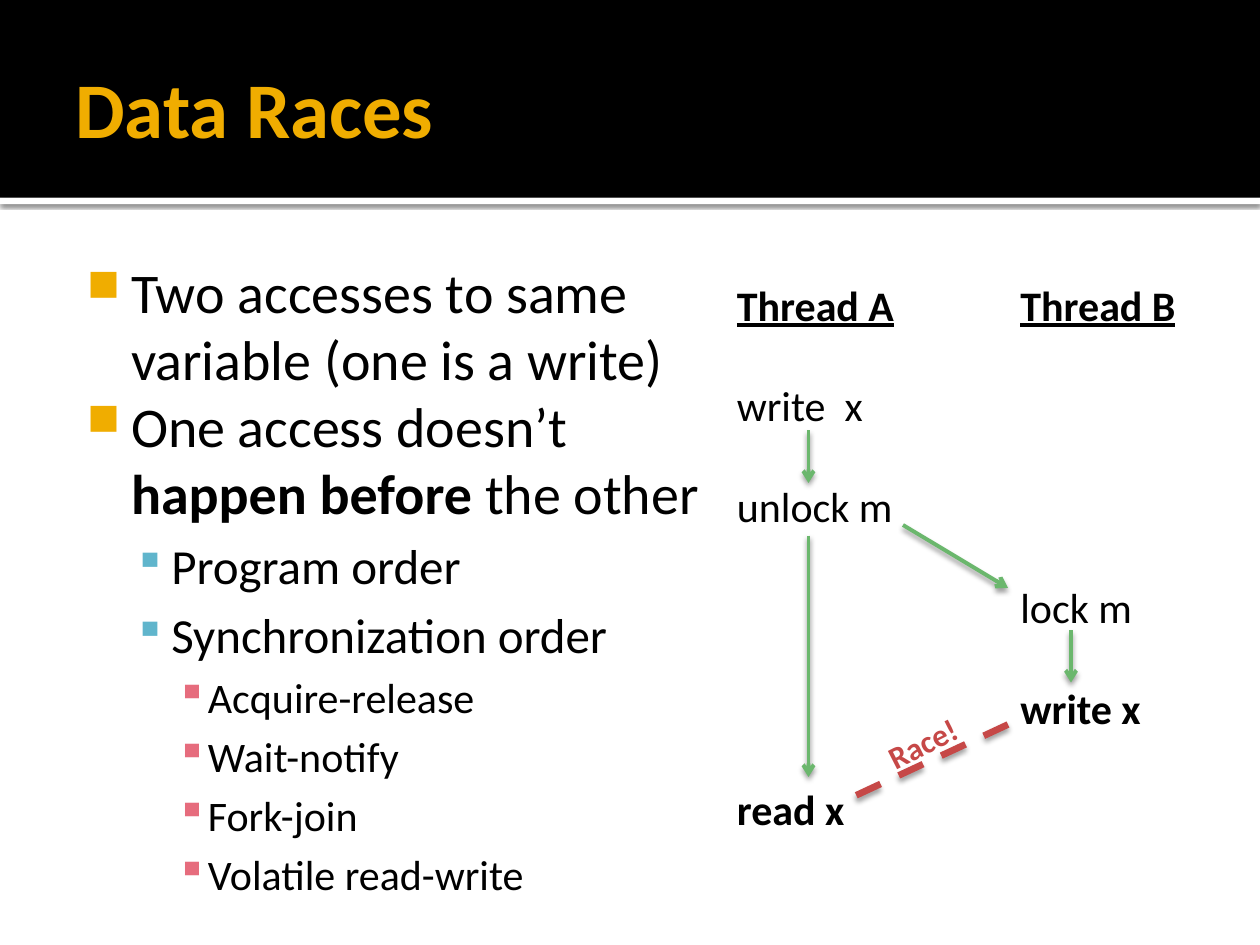
from dataclasses import dataclass
from pptx import Presentation
from pptx.dml.color import RGBColor as Rgb
from pptx.enum.dml import MSO_LINE_DASH_STYLE as Dash
from pptx.enum.shapes import MSO_CONNECTOR as Conn, MSO_SHAPE as Kind
from pptx.enum.text import MSO_ANCHOR as Anchor, MSO_AUTO_SIZE as Fit
from pptx.oxml import parse_xml
from pptx.oxml.ns import nsdecls
from pptx.util import Inches, Pt


@dataclass(frozen=True)
class Theme:
    """Colours, type sizes and the grid cell in inches."""
    font: str = "Calibri"
    ink: str = "000000"
    paper: str = "FFFFFF"
    gold: str = "F0AD00"
    blue: str = "60B5CC"
    pink: str = "E66C7D"
    green: str = "6BB76D"
    red: str = "C64847"
    title: int = 45
    body: tuple = (32, 28, 24)
    code: int = 24
    note: int = 18
    row: float = 28.8
    cell: float = 1 / 12


@dataclass(frozen=True)
class Box:
    """A place on the grid, in columns and rows."""
    x: float
    y: float
    w: float
    h: float


@dataclass(frozen=True)
class Level:
    """The bullet and indent of an outline level."""
    mark: str
    hue: str
    pct: int
    left: float
    hang: float
    gap: float


@dataclass(frozen=True)
class Item:
    """An outline line whose odd words are bold."""
    depth: int
    words: tuple


@dataclass(frozen=True)
class Step:
    """A thread action on a given text row."""
    row: int
    text: str
    bold: bool = False
    line: bool = False


@dataclass(frozen=True)
class Link:
    """A line between two grid points."""
    start: tuple
    end: tuple
    hue: str
    width: float
    race: bool = False


T = Theme()
LEVELS = (
    Level("■", T.gold, 80, 0.48, 0.35, 0),
    Level("▪", T.blue, 90, 0.8, 0.3, 0.2),
    Level("▪", T.pink, 100, 1.09, 0.25, 0.2),
)
ITEMS = (
    Item(0, ("Two accesses to same variable (one is a write)",)),
    Item(0, ("One access doesn’t ", "happen before ", "the other")),
    Item(1, ("Program order",)),
    Item(1, ("Synchronization order",)),
    Item(2, ("Acquire-release",)),
    Item(2, ("Wait-notify",)),
    Item(2, ("Fork-join",)),
    Item(2, ("Volatile read-write",)),
)
THREADS = (
    (Box(69, 26, 19, 54.5), (
        Step(0, "Thread A", True, True), Step(2, "write  x"),
        Step(4, "unlock m"), Step(10, "read x", True))),
    (Box(96, 26, 19, 44.9), (
        Step(0, "Thread B", True, True), Step(6, "lock m"),
        Step(8, "write x", True))),
)
LINKS = (
    Link((77, 41), (77, 46), T.green, 2.25),
    Link((77, 51), (77, 74), T.green, 2.25),
    Link((86, 50), (96, 56), T.green, 2.25),
    Link((102, 60), (102, 65), T.green, 2.25),
    Link((96, 69), (81, 76), T.red, 3.82, True),
)


def span(*cells: float) -> list:
    """Turn grid cells into lengths."""
    return [Inches(n * T.cell) for n in cells]


def apply(obj, form: dict) -> None:
    """Set each named value on an object."""
    for key, val in form.items():
        setattr(obj, key, val)


def shade(shape, alpha: int, blur: float, dist: float) -> None:
    """Cast a soft shadow straight down."""
    shape._element.spPr.append(parse_xml(
        f'<a:effectLst {nsdecls("a")}><a:outerShdw blurRad="{Pt(blur)}" '
        f'dist="{Pt(dist)}" dir="5400000" rotWithShape="0">'
        f'<a:srgbClr val="{T.ink}"><a:alpha val="{alpha * 1000}"/>'
        '</a:srgbClr></a:outerShdw></a:effectLst>'))


def band(slide, box: Box, hue: str):
    """Draw a plain filled bar."""
    bar = slide.shapes.add_shape(
        Kind.RECTANGLE, *span(box.x, box.y, box.w, box.h))
    bar.fill.solid()
    bar.fill.fore_color.rgb = Rgb.from_string(hue)
    bar.line.fill.background()
    return bar


def frame(slide, box: Box, **form):
    """Add a text box with the given frame values."""
    shape = slide.shapes.add_textbox(*span(box.x, box.y, box.w, box.h))
    apply(shape.text_frame, {"word_wrap": True, **form})
    return shape


def write(para, text: str, size: float, hue: str = T.ink, **form) -> None:
    """Add a styled run to a paragraph."""
    run = para.add_run()
    run.text = text
    apply(run.font, {"name": T.font, "size": Pt(size), **form})
    run.font.color.rgb = Rgb.from_string(hue)


def lines(text, items: tuple):
    """Pair each item with its own paragraph."""
    for n, item in enumerate(items):
        yield item, text.add_paragraph() if n else text.paragraphs[0]


def outline(slide, box: Box, items: tuple) -> None:
    """Write the bulleted outline."""
    text = frame(slide, box, margin_left=Inches(0.06),
                 margin_top=Inches(0.1)).text_frame
    for item, para in lines(text, items):
        rule, size = LEVELS[item.depth], T.body[item.depth]
        apply(para, {"level": item.depth, "space_before": Pt(size * rule.gap)})
        props = para._p.get_or_add_pPr()
        props.set("marL", str(Inches(rule.left)))
        props.set("indent", str(-Inches(rule.hang)))
        for tag in (f'buClr {nsdecls("a")}><a:srgbClr val="{rule.hue}"/></a:buClr',
                    f'buSzPct {nsdecls("a")} val="{rule.pct * 1000}"/',
                    f'buChar {nsdecls("a")} char="{rule.mark}"/'):
            props.append(parse_xml(f"<a:{tag}>"))
        for n, word in enumerate(item.words):
            write(para, word, size, bold=n % 2 == 1)


def thread(slide, box: Box, steps: tuple) -> None:
    """Write the steps of a thread on their rows."""
    text = frame(slide, box).text_frame
    last = -1
    for step, para in lines(text, steps):
        para.space_before = Pt((step.row - last - 1) * T.row)
        write(para, step.text, T.code, bold=step.bold, underline=step.line)
        last = step.row


def join(slide, link: Link) -> None:
    """Draw an order arrow or a dashed race line."""
    wire = slide.shapes.add_connector(
        Conn.STRAIGHT, *span(*link.start, *link.end))
    wire.line.color.rgb = Rgb.from_string(link.hue)
    wire.line.width = Pt(link.width)
    if link.race:
        wire.line.dash_style = Dash.DASH
    else:
        wire.line._get_or_add_ln().append(
            parse_xml(f'<a:tailEnd {nsdecls("a")} type="arrow"/>'))
    shade(wire, 38, 3.1, 2)


def main() -> None:
    """Build and save the slide."""
    deck = Presentation()
    apply(deck, {"slide_width": Inches(10), "slide_height": Inches(7.5)})
    slide = deck.slides.add_slide(deck.slide_layouts[6])
    shade(band(slide, Box(0, 18.84, 120, 0.6), T.paper), 60, 2.5, 0.8)
    band(slide, Box(0, 0, 120, 18.84), T.ink).shadow.inherit = False
    head = frame(slide, Box(6, 2, 108, 16.44), vertical_anchor=Anchor.MIDDLE,
                 margin_right=Inches(0.05)).text_frame
    write(head.paragraphs[0], "Data Races", T.title, T.gold, bold=True)
    for box, steps in THREADS:
        thread(slide, box, steps)
    for link in LINKS:
        join(slide, link)
    note = frame(slide, Box(83.2, 68.3, 9.6, 4.8), word_wrap=False,
                 auto_size=Fit.SHAPE_TO_FIT_TEXT)
    note.rotation = 333.1
    write(note.text_frame.paragraphs[0], "Race!", T.note, T.red, bold=True)
    outline(slide, Box(6, 23.3, 62, 60.7), ITEMS)
    deck.save("out.pptx")


if __name__ == "__main__":
    main()
